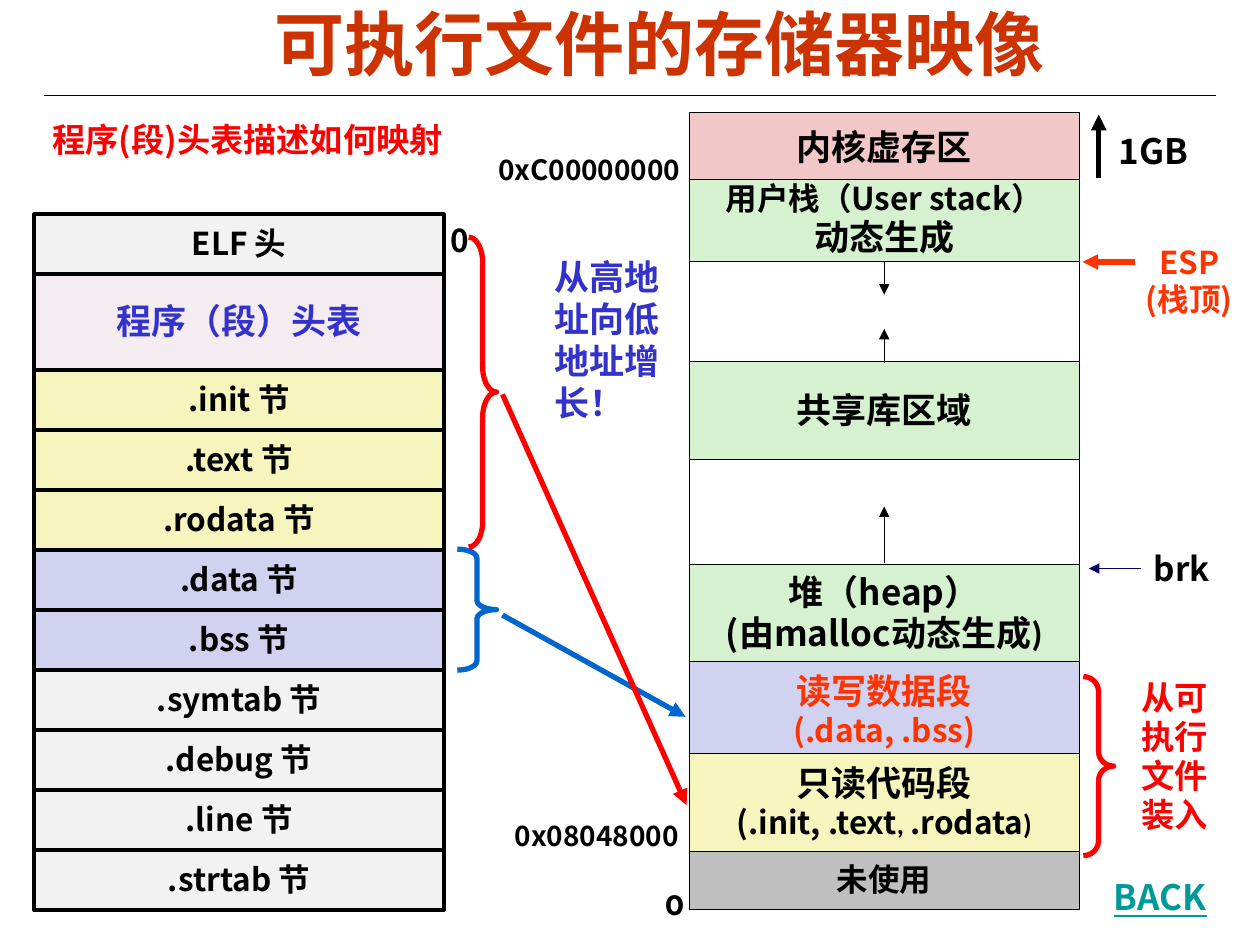
from lxml import etree
from pptx import Presentation
from pptx.dml.color import RGBColor
from pptx.enum.shapes import MSO_CONNECTOR, MSO_SHAPE
from pptx.enum.text import MSO_ANCHOR, PP_ALIGN
from pptx.oxml.ns import qn
from pptx.util import Cm, Pt

RECT, BRACE = MSO_SHAPE.RECTANGLE, MSO_SHAPE.RIGHT_BRACE
STRAIGHT = MSO_CONNECTOR.STRAIGHT
MIDDLE, CENTER, LEFT = MSO_ANCHOR.MIDDLE, PP_ALIGN.CENTER, PP_ALIGN.LEFT
SANS = "Noto Sans CJK SC"
COLORS = {
    "black": "000000", "white": "FFFFFF", "title": "CC3300", "red": "FF0000",
    "orange": "FF3300", "blue": "0066CC", "indigo": "3333CC", "navy": "000066",
    "teal": "009999", "pink": "F1C7C7", "green": "D5F1CF", "lilac": "D1D1F0",
    "yellow": "F6F5BD", "gray": "BFBFBF", "light": "F2F2F2", "plum": "993366",
}
COLORS = {name: RGBColor.from_string(value) for name, value in COLORS.items()}


def write(sp, paragraphs, color="black", align=LEFT, spacing=0.98):
    """Fill a shape with paragraphs, each a list of (text, size[, font]) runs."""
    tf = sp.text_frame
    for i, runs in enumerate(paragraphs):
        p = tf.paragraphs[0] if i == 0 else tf.add_paragraph()
        p.alignment, p.line_spacing = align, spacing
        for text, size, *font in runs:
            r = p.add_run()
            r.text = text
            r.font.name = font[0] if font else SANS
            r.font.size, r.font.bold = Pt(size), True
            r.font.color.rgb = COLORS[color]
            etree.SubElement(r.font._element, qn("a:ea"), typeface=SANS)


def connect(x1, y1, x2, y2, color, width, arrow=True):
    line = s.shapes.add_connector(STRAIGHT, Cm(x1), Cm(y1), Cm(x2), Cm(y2))
    line.line.color.rgb, line.line.width = COLORS[color], Pt(width)
    if arrow:
        etree.SubElement(line.line._get_or_add_ln(), qn("a:tailEnd"), type="triangle")
    etree.SubElement(line._element.spPr, qn("a:effectLst"))


prs = Presentation()
prs.slide_width, prs.slide_height = Cm(25.4), Cm(19.05)
s = prs.slides.add_slide(prs.slide_layouts[5])

# Title
title = s.shapes.title
title.left, title.top, title.width, title.height = Cm(1.19), Cm(0), Cm(24.21), Cm(1.73)
title.text_frame.vertical_anchor = MIDDLE
write(title, [[("可执行文件的存储器映像", 40, "Arial")]], "title", CENTER, 1.0)
connect(0.89, 1.93, 24.51, 1.93, "black", 0.75, arrow=False)

# Memory image: top, height, fill, text colour, paragraphs
MEMORY_X, MEMORY_W = 13.89, 7.87
memory = [
    (2.26, 1.45, "pink", "black", [[("内核虚存区", 20)]]),
    (3.61, 1.65, "green", "black",
     [[("用户栈（User stack）", 18)], [("动态生成", 20, "Calibri")]]),
    (5.26, 2.03, "white", "black", []),
    (7.29, 1.98, "green", "black", [[("共享库区域", 20)]]),
    (9.25, 2.13, "white", "black", []),
    (11.38, 1.98, "green", "black",
     [[("堆（heap）", 20)], [("(由malloc动态生成", 20), (")", 20, "Calibri")]]),
    (13.34, 1.98, "lilac", "orange", [[("读写数据段", 20)], [("(.data, .bss)", 18)]]),
    (15.19, 1.98, "yellow", "black",
     [[("只读代码段", 20)],
      [("(.init, .text", 18), (", ", 16, "Calibri"), (".rodata", 18), (")", 16, "Calibri")]]),
    (17.17, 1.17, "gray", "black", [[("未使用", 18)]]),
]
blocks = [(MEMORY_X, top, MEMORY_W, height, 0.25, fill, color, paragraphs)
          for top, height, fill, color, paragraphs in memory]

# ELF file: rows stacked from the top
FILE_X, FILE_W, ROW_H, HEADER_H = 0.69, 8.26, 1.21, 1.93
sections = [
    ("ELF 头", "light"), ("程序（段）头表", "plum"), (".init 节", "yellow"),
    (".text 节", "yellow"), (".rodata 节", "yellow"), (".data 节", "lilac"),
    (".bss 节", "lilac"), (".symtab 节", "light"), (".debug 节", "light"),
    (".line 节", "light"), (".strtab 节", "light"),
]
top = 4.32
for name, fill in sections:
    header = fill == "plum"
    height = HEADER_H if header else ROW_H
    blocks.append((FILE_X, top, FILE_W, height, 2, fill, "indigo" if header else "black",
                   [[(name, 20 if header else 18)]]))
    top += height

for x, y, w, h, border, fill, color, paragraphs in blocks:
    sp = s.shapes.add_shape(RECT, Cm(x), Cm(y), Cm(w), Cm(h))
    sp.shadow.inherit = False
    sp.fill.solid()
    sp.fill.fore_color.rgb = COLORS[fill]
    if fill == "plum":
        rgb = sp._element.spPr.find(qn("a:solidFill")).find(qn("a:srgbClr"))
        etree.SubElement(rgb, qn("a:alpha"), val="9000")
    sp.line.color.rgb, sp.line.width = COLORS["black"], Pt(border)
    sp.text_frame.word_wrap = False
    sp.text_frame.vertical_anchor = MIDDLE
    write(sp, paragraphs, color, CENTER)

# Braces: left, top, width, height, curve, colour
for x, y, w, h, curve, color in [
    (21.84, 13.64, 0.61, 3.61, 0.486, "red"),
    (9.22, 11.07, 0.79, 2.44, 0.234, "blue"),
    (9.45, 4.78, 0.56, 6.25, 0.915, "red"),
]:
    sp = s.shapes.add_shape(BRACE, Cm(x), Cm(y), Cm(w), Cm(h))
    sp.shadow.inherit = False
    sp.fill.background()
    sp.line.color.rgb, sp.line.width = COLORS[color], Pt(3)
    sp.adjustments[0] = curve

# Arrows: mapping, pointers, growth
MID_X = MEMORY_X + MEMORY_W / 2
for arrow in [
    (10.13, 12.4, 13.82, 14.45, "blue", 3),
    (10.13, 7.95, 13.84, 16.23, "red", 3),
    (22.89, 5.28, 21.82, 5.28, "orange", 3),
    (22.15, 3.58, 22.15, 2.31, "black", 3),
    (23.01, 11.46, 21.95, 11.46, "navy", 0.25),
    (MID_X, 11.35, MID_X, 10.21, "black", 0.25),
    (MID_X, 7.32, MID_X, 6.63, "black", 0.25),
    (MID_X, 5.28, MID_X, 5.94, "black", 0.25),
]:
    connect(*arrow)

# Labels: left, top, width, height, text, size, colour, font, line spacing, wrap
for x, y, w, h, text, size, color, font, spacing, wrap in [
    (8.84, 4.37, 0.89, 1.02, "0", 18, "black", SANS, 0.98, True),
    (23.01, 11, 1.63, 1.02, "brk", 19, "black", SANS, 0.94, False),
    (9.8, 3, 4.34, 0.89, "0xC00000000", 16, "black", SANS, 0.94, False),
    (10.13, 16.43, 3.96, 0.89, "0x08048000", 16, "black", SANS, 0.94, False),
    (13.16, 17.81, 0.89, 0.91, "0", 16, "black", "Montserrat", 0.98, False),
    (22.76, 13.56, 2.08, 3.4, "从可执行文件装入", 19, "red", "Calibri", 0.98, True),
    (0.81, 2.29, 9.07, 1.07, "程序(段)头表描述如何映射", 19, "red", SANS, 1.0, True),
    (22.3, 2.49, 2.34, 1.09, "1GB", 20, "black", SANS, 1.0, True),
    (10.92, 5.03, 2.79, 3.63, "从高地址向低地址增长！", 20, "indigo", SANS, 1.0, True),
    (22.2, 17.53, 2.49, 1.09, "BACK", 20, "teal", SANS, 1.0, True),
]:
    sp = s.shapes.add_textbox(Cm(x), Cm(y), Cm(w), Cm(h))
    sp.text_frame.word_wrap = wrap
    write(sp, [[(text, size, font)]], color, spacing=spacing)
    if text == "BACK":
        sp.text_frame.paragraphs[0].runs[0].font.underline = True

esp = s.shapes.add_textbox(Cm(22.96), Cm(4.83), Cm(2.03), Cm(1.73))
esp.text_frame.word_wrap = True
esp.text_frame.margin_left = esp.text_frame.margin_right = 0
write(esp, [[("ESP", 18)], [("(栈顶)", 18)]], "orange", CENTER, 0.96)

prs.save("out.pptx")
